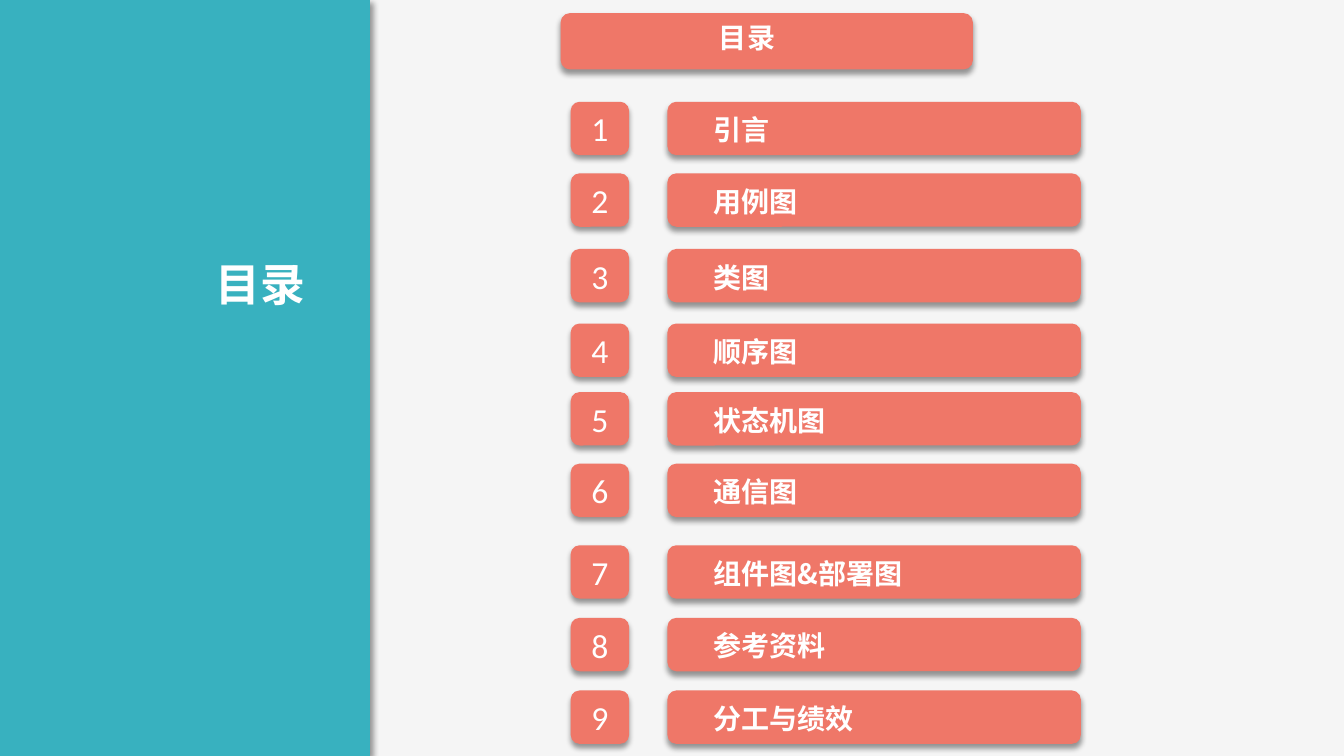
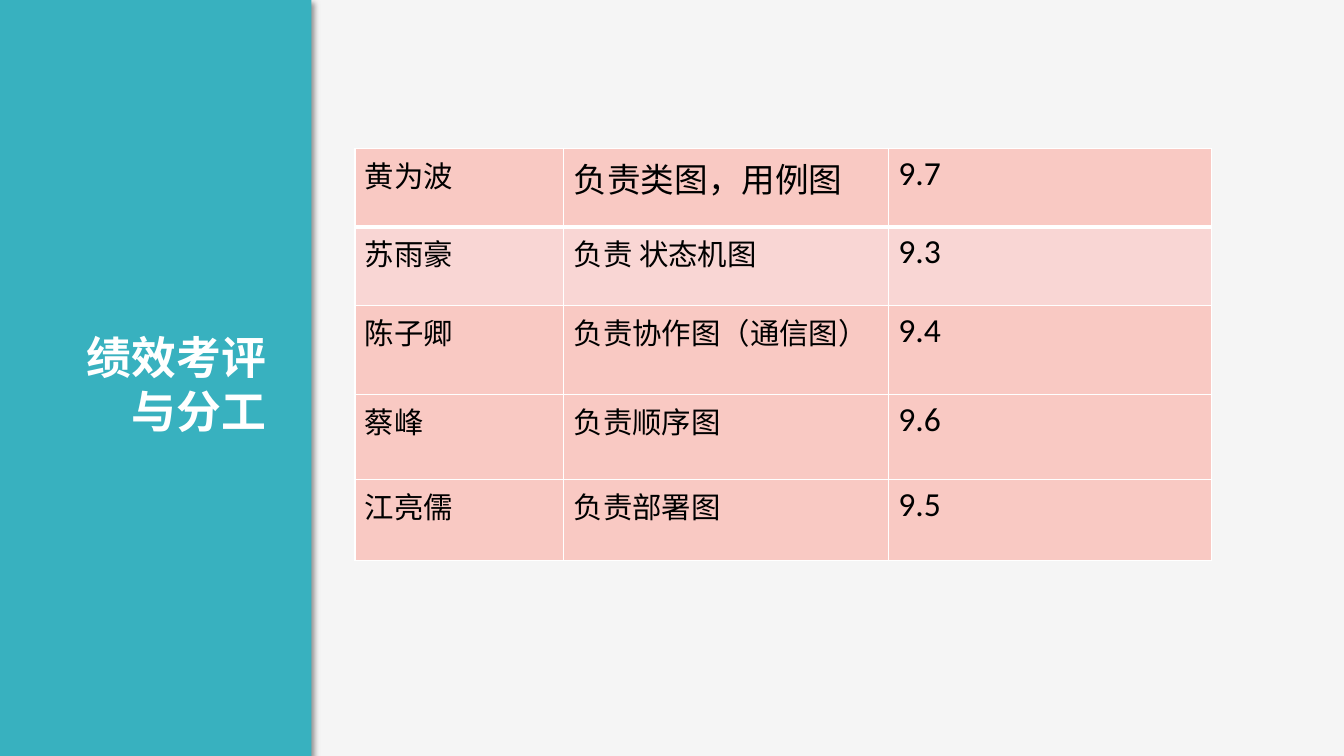
from lxml.etree import SubElement
from pptx import Presentation
from pptx.dml.color import RGBColor
from pptx.enum.shapes import MSO_SHAPE as Shape
from pptx.enum.text import MSO_ANCHOR as Anchor, PP_ALIGN as Align
from pptx.oxml.ns import qn
from pptx.util import Inches, Pt

COLORS = {
    "page": "F5F5F5",
    "band": "38B1BF",
    "accent": "EF7768",
    "row": "F9C9C3",
    "row_light": "F9D6D4",
    "white": "FFFFFF",
    "black": "000000",
}
CJK = "Noto Sans CJK SC"
LATIN = "Calibri"

TOPICS = [
    (1.01, "引言"),
    (1.72, "用例图"),
    (2.47, "类图"),
    (3.21, "顺序图"),
    (3.89, "状态机图"),
    (4.6, "通信图"),
    (5.41, "组件图&部署图"),
    (6.13, "参考资料"),
    (6.85, "分工与绩效"),
]
MEMBERS = [
    ("黄为波", "负责类图，用例图", "9.7"),
    ("苏雨豪", "负责 状态机图", "9.3"),
    ("陈子卿", "负责协作图（通信图）", "9.4"),
    ("蔡峰", "负责顺序图", "9.6"),
    ("江亮儒", "负责部署图", "9.5"),
]
COLUMN_WIDTHS = [2.07, 3.22, 3.21]
ROW_HEIGHTS = [0.78, 0.78, 0.88, 0.85, 0.8]


def rgb(name):
    return RGBColor.from_string(COLORS[name])


def write(frame, text, size, font=CJK, color="white", bold=False, align=Align.LEFT):
    para = frame.paragraphs[0]
    para.alignment = align
    span = para.add_run()
    span.text = text
    span.font.size = Pt(size)
    span.font.bold = bold
    span.font.name = font
    span.font.color.rgb = rgb(color)
    SubElement(span.font._element, qn("a:ea"), typeface=CJK)


def set_insets(frame):
    frame.word_wrap = True
    frame.margin_left = frame.margin_right = Inches(0.13)
    frame.margin_top = frame.margin_bottom = Inches(0.07)


def add_shadow(shape, angle):
    shape.shadow.inherit = False
    effects = shape._element.spPr.find(qn("a:effectLst"))
    shadow = SubElement(effects, qn("a:outerShdw"), blurRad=str(Pt(4)),
                        dist=str(Pt(3)), dir=str(angle * 60000), rotWithShape="0")
    tint = SubElement(shadow, qn("a:srgbClr"), val=COLORS["black"])
    SubElement(tint, qn("a:alpha"), val="40000")


def add_panel(shapes, kind, box, color, angle):
    panel = shapes.add_shape(kind, *map(Inches, box))
    panel.fill.solid()
    panel.fill.fore_color.rgb = rgb(color)
    panel.line.fill.background()
    add_shadow(panel, angle)
    return panel


def add_label(shapes, box, text, size, align=Align.LEFT):
    label = shapes.add_textbox(*map(Inches, box))
    set_insets(label.text_frame)
    write(label.text_frame, text, size, bold=True, align=align)


def add_bar(page, box, text, shift, align=Align.LEFT):
    left, top = box[:2]
    group = page.shapes.add_group_shape()
    add_panel(group.shapes, Shape.ROUNDED_RECTANGLE, box, "accent", 90)
    add_label(group.shapes, (left + shift[0], top + shift[1], 2.9, 0.47), text, 20, align)


def add_topic(page, left, top, number, text):
    badge = add_panel(page.shapes, Shape.ROUNDED_RECTANGLE,
                      (left, top, 0.58, 0.53), "accent", 90)
    set_insets(badge.text_frame)
    badge.text_frame.vertical_anchor = Anchor.MIDDLE
    write(badge.text_frame, str(number), 24, font=LATIN, align=Align.CENTER)
    add_bar(page, (left + 0.96, top, 4.1, 0.53), text, (0.33, 0.04))


def add_page(deck, band_width, title, title_box):
    page = deck.slides.add_slide(deck.slide_layouts[6])
    page.background.fill.solid()
    page.background.fill.fore_color.rgb = rgb("page")
    add_panel(page.shapes, Shape.RECTANGLE, (-0.12, 0, band_width, 7.5), "band", 45)
    add_label(page.shapes, title_box, title, 32, Align.RIGHT)
    return page


def style_cell(cell, color, top, bottom):
    properties = cell._tc.get_or_add_tcPr()
    for side, width in (("L", 1), ("R", 1), ("T", top), ("B", bottom)):
        line = SubElement(properties, qn(f"a:ln{side}"), w=str(Pt(width)))
        fill = SubElement(line, qn("a:solidFill"))
        SubElement(fill, qn("a:srgbClr"), val=COLORS["white"])
    cell.fill.solid()
    cell.fill.fore_color.rgb = rgb(color)


def add_score_table(page, left, top):
    frame = page.shapes.add_table(len(MEMBERS), len(COLUMN_WIDTHS), Inches(left), Inches(top),
                                  Inches(sum(COLUMN_WIDTHS)), Inches(sum(ROW_HEIGHTS)))
    table = frame.table
    for column, width in zip(table.columns, COLUMN_WIDTHS):
        column.width = Inches(width)
    for row, height in zip(table.rows, ROW_HEIGHTS):
        row.height = Inches(height)
    for row, member in enumerate(MEMBERS):
        for column, text in enumerate(member):
            cell = table.cell(row, column)
            style_cell(cell, "row_light" if row == 1 else "row",
                       3 if row == 1 else 1, 3 if row == 0 else 1)
            large = column == 2 or (row, column) == (0, 1)
            write(cell.text_frame, text, 24 if large else 21, font=LATIN, color="black")


def build_contents(deck):
    page = add_page(deck, 3.79, "目录", (0.09, 2.48, 3.07, 0.67))
    add_bar(page, (5.56, 0.13, 4.09, 0.56), "目录", (0.4, 0), Align.CENTER)
    for number, (top, text) in enumerate(TOPICS, 1):
        add_topic(page, 5.66, top, number, text)


def build_scores(deck):
    page = add_page(deck, 3.21, "绩效考评与分工", (0.34, 3.2, 2.43, 1.21))
    add_score_table(page, 3.52, 1.47)


def main():
    deck = Presentation()
    deck.slide_width = Inches(13.33)
    deck.slide_height = Inches(7.5)
    build_contents(deck)
    build_scores(deck)
    deck.save("out.pptx")


if __name__ == "__main__":
    main()
